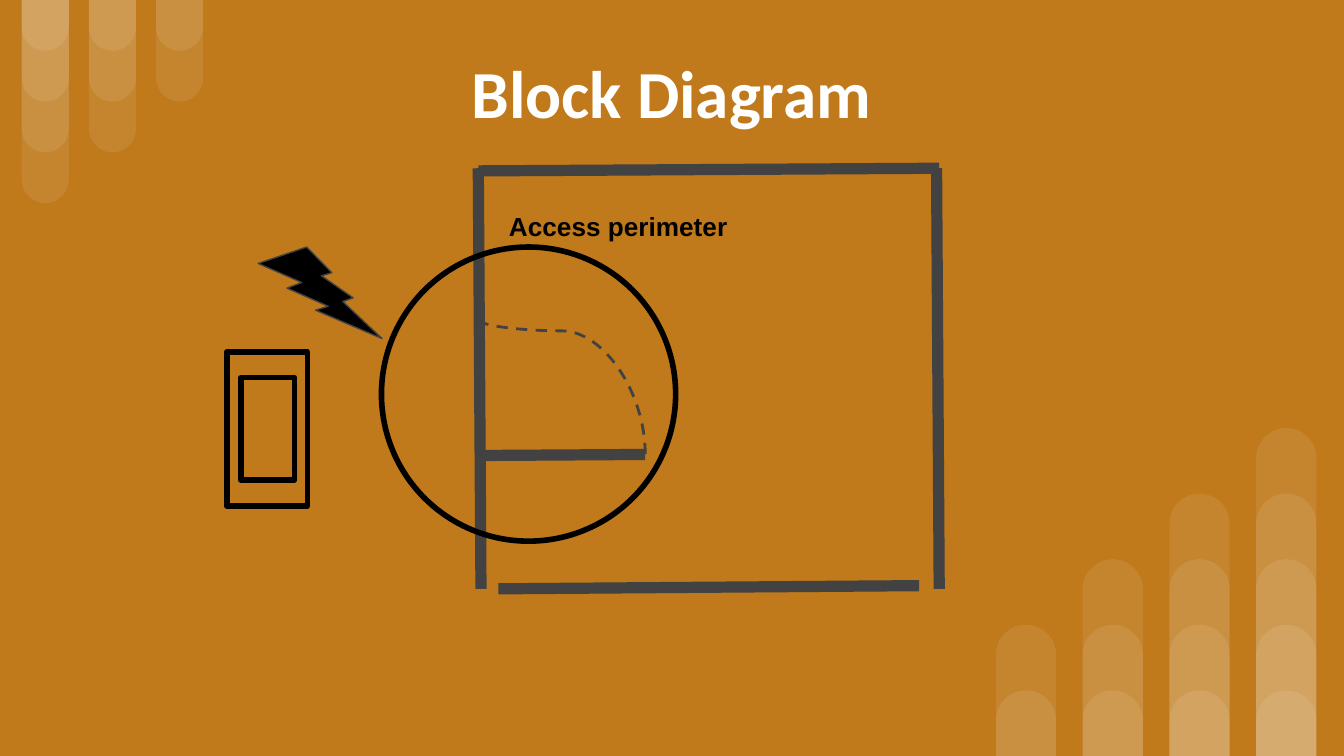
from lxml import etree
from pptx import Presentation
from pptx.dml.color import RGBColor
from pptx.enum.dml import MSO_LINE
from pptx.enum.shapes import MSO_CONNECTOR, MSO_SHAPE
from pptx.enum.text import MSO_ANCHOR, PP_ALIGN
from pptx.oxml.ns import qn
from pptx.util import Cm, Pt

OCHRE = RGBColor(0xC0, 0x79, 0x1B)
WHITE = RGBColor(0xFF, 0xFF, 0xFF)
BLACK = RGBColor(0, 0, 0)
GREY = RGBColor(0x42, 0x42, 0x42)


def write(sp, text, font, size, color, align=PP_ALIGN.LEFT, anchor=MSO_ANCHOR.TOP):
    """Fill a shape with one bold line of text."""
    tf = sp.text_frame
    tf.word_wrap = True
    tf.vertical_anchor = anchor
    tf.margin_left = tf.margin_right = tf.margin_top = tf.margin_bottom = Cm(0.25)
    p = tf.paragraphs[0]
    p.alignment = align
    r = p.add_run()
    r.text = text
    r.font.name, r.font.size, r.font.bold = font, Pt(size), True
    r.font.color.rgb = color


def add_line(kind, x1, y1, x2, y2, width):
    c = s.shapes.add_connector(kind, Cm(x1), Cm(y1), Cm(x2), Cm(y2))
    c.line.color.rgb = GREY
    c.line.width = Pt(width)
    etree.SubElement(c._element.spPr, qn("a:effectLst"))
    return c


prs = Presentation()
prs.slide_width, prs.slide_height = Cm(25.4), Cm(14.29)
s = prs.slides.add_slide(prs.slide_layouts[5])
s.background.fill.solid()
s.background.fill.fore_color.rgb = OCHRE

# Corner bars: each column stacks translucent bars of growing height
bars = []
for col, levels in enumerate((4, 3, 2)):
    for n in range(1, levels + 1):
        bars.append((0.41 + 1.27 * col, 0, 0.89, 0.96 * n, 180))
for col, levels in enumerate((2, 3, 4, 5)):
    for n in range(1, levels + 1):
        bars.append((18.82 + 1.64 * col, 14.29 - 1.24 * n, 1.14, 1.24 * n, 0))
for x, y, w, h, rotation in bars:
    sp = s.shapes.add_shape(MSO_SHAPE.ROUND_2_SAME_RECTANGLE, Cm(x), Cm(y), Cm(w), Cm(h))
    sp.adjustments[0], sp.adjustments[1] = 0.5, 0
    sp.rotation = rotation
    sp.shadow.inherit = False
    sp.line.fill.background()
    sp.fill.solid()
    sp.fill.fore_color.rgb = WHITE
    rgb = sp._element.spPr.find(".//" + qn("a:srgbClr"))
    etree.SubElement(rgb, qn("a:alpha"), val="9000")

title = s.shapes.title
title.left, title.top, title.width, title.height = Cm(3.48), Cm(0.28), Cm(18.42), Cm(2.92)
write(title, "Block Diagram", "Calibri", 36, WHITE, PP_ALIGN.CENTER, MSO_ANCHOR.MIDDLE)

# Room walls, then the open door
for ends in (
    (9.04, 3.18, 9.09, 11.13),
    (17.75, 3.18, 9.04, 3.23),
    (17.75, 11.13, 17.7, 3.18),
    (9.42, 11.13, 17.37, 11.07),
    (9.04, 8.61, 12.19, 8.59),
):
    add_line(MSO_CONNECTOR.STRAIGHT, *ends, 6)

# Door swing: a curved connector turned a quarter
swing = add_line(MSO_CONNECTOR.CURVE, 11.89, 5.74, 9.35, 8.89, 1.5)
swing.line.dash_style = MSO_LINE.DASH
spPr = swing._element.spPr
spPr.find(qn("a:xfrm")).set("rot", "16200000")
geom = spPr.find(qn("a:prstGeom"))
guides = geom.find(qn("a:avLst"))
if guides is None:
    guides = etree.SubElement(geom, qn("a:avLst"))
etree.SubElement(guides, qn("a:gd"), name="adj1", fmla="val 8300")

# Access circle, phone screen, signal bolt, phone body
for kind, x, y, w, h, fill, line, width in (
    (MSO_SHAPE.OVAL, 7.21, 4.67, 5.56, 5.56, None, BLACK, 3),
    (MSO_SHAPE.RECTANGLE, 4.55, 7.14, 1.02, 1.93, None, BLACK, 3),
    (MSO_SHAPE.LIGHTNING_BOLT, 4.88, 4.67, 2.34, 1.73, BLACK, GREY, 0.75),
    (MSO_SHAPE.RECTANGLE, 4.29, 6.65, 1.52, 2.92, None, BLACK, 3),
):
    sp = s.shapes.add_shape(kind, Cm(x), Cm(y), Cm(w), Cm(h))
    sp.shadow.inherit = False
    if fill is None:
        sp.fill.background()
    else:
        sp.fill.solid()
        sp.fill.fore_color.rgb = fill
    sp.line.color.rgb = line
    sp.line.width = Pt(width)
    etree.SubElement(sp._element.spPr.find(qn("a:ln")), qn("a:round"))

label = s.shapes.add_textbox(Cm(9.37), Cm(3.73), Cm(5.05), Cm(0.94))
write(label, "Access perimeter", "Arial", 14, BLACK)

prs.save("out.pptx")
